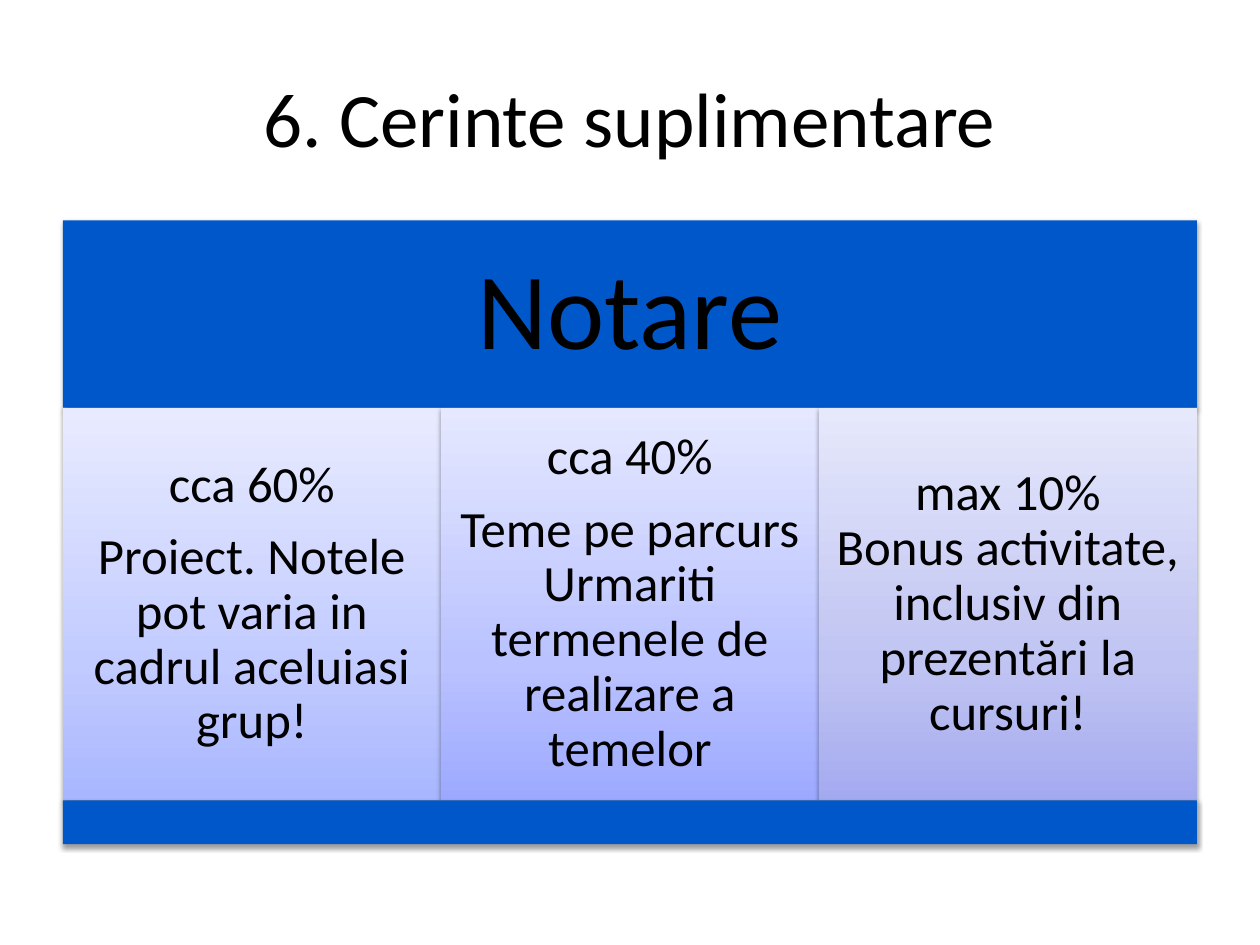
from lxml.etree import SubElement as add_element
from pptx import Presentation
from pptx.dml.color import RGBColor
from pptx.enum.shapes import MSO_SHAPE as Preset
from pptx.enum.text import MSO_ANCHOR as Anchor, PP_ALIGN as Align
from pptx.oxml.ns import qn
from pptx.util import Inches, Pt

BLUE = "0057CA"
GRADIENT_POSITIONS = (0, 35, 100)
COLUMNS = [
    (["cca 60%", "Proiect. Notele pot varia in cadrul aceluiasi grup!"],
     ("A8B6FF", "C2CBFF", "E8EBFF")),
    (["cca 40%", "Teme pe parcurs Urmariti termenele de realizare a temelor"],
     ("9DA9FF", "BAC2FF", "E5E8FF")),
    (["max 10%\vBonus activitate, inclusiv din prezentări la cursuri!"],
     ("A4AAEF", "C0C4F2", "E6E8FB")),
]


def color(value):
    return RGBColor.from_string(value)


def write_text(shape, paragraphs, size, inset, spacing=1.0, after=0):
    frame = shape.text_frame
    frame.word_wrap = True
    frame.vertical_anchor = Anchor.MIDDLE
    frame.margin_left = frame.margin_right = Inches(inset)
    frame.margin_top = frame.margin_bottom = Inches(inset)
    for index, text in enumerate(paragraphs):
        paragraph = frame.add_paragraph() if index else frame.paragraphs[0]
        paragraph.text = text
        paragraph.alignment = Align.CENTER
        paragraph.line_spacing = spacing
        paragraph.space_after = Pt(after)
        for run in paragraph.runs:
            run.font.size = Pt(size)
            run.font.name = "Calibri"
            run.font.color.rgb = color("000000")


def fill_gradient(shape, colors):
    shape.fill.gradient()
    shape.fill.gradient_angle = 90
    stops = shape._element.spPr.find(qn("a:gradFill")).find(qn("a:gsLst"))
    for stop in list(stops):
        stops.remove(stop)
    for position, value in zip(GRADIENT_POSITIONS, colors):
        stop = add_element(stops, qn("a:gs"), pos=str(position * 1000))
        add_element(stop, qn("a:srgbClr"), val=value)


def add_shadow(shape):
    shape.shadow.inherit = False
    effects = shape._element.spPr.find(qn("a:effectLst"))
    shadow = add_element(effects, qn("a:outerShdw"), blurRad=str(Pt(3.1)),
                         dist=str(Pt(1.6)), dir="5400000", rotWithShape="0")
    shade = add_element(shadow, qn("a:srgbClr"), val="000000")
    add_element(shade, qn("a:alpha"), val="38000")


def add_panel(shapes, box, fill):
    shape = shapes.add_shape(Preset.RECTANGLE, *map(Inches, box))
    if isinstance(fill, str):
        shape.fill.solid()
        shape.fill.fore_color.rgb = color(fill)
    else:
        fill_gradient(shape, fill)
    shape.line.fill.background()
    add_shadow(shape)
    return shape


def add_title(slide, box, text):
    title = slide.shapes.add_textbox(*map(Inches, box))
    write_text(title, [text], size=44, inset=0.1)


def add_grading(slide, box, heading, columns):
    left, top, width, height = box
    header_height, footer_height = 0.3 * height, 0.07 * height
    body_height = height - header_height - footer_height
    body_top = top + header_height
    column_width = width / len(columns)
    shapes = slide.shapes.add_group_shape().shapes

    header = add_panel(shapes, (left, top, width, header_height), BLUE)
    write_text(header, [heading], size=62, inset=0.26, spacing=0.9)
    for index, (paragraphs, colors) in enumerate(columns):
        column_left = left + index * column_width
        panel = add_panel(
            shapes, (column_left, body_top, column_width, body_height), colors)
        write_text(panel, paragraphs, size=29, inset=0.12, spacing=0.9, after=10)
    add_panel(shapes, (left, body_top + body_height, width, footer_height), BLUE)


presentation = Presentation()
presentation.slide_width = Inches(10)
presentation.slide_height = Inches(7.5)
slide = presentation.slides.add_slide(presentation.slide_layouts[6])
add_title(slide, (0.5, 0.3, 9, 1.25), "6. Cerinte suplimentare")
add_grading(slide, (0.5, 1.75, 9, 4.95), "Notare", COLUMNS)
presentation.save("out.pptx")
